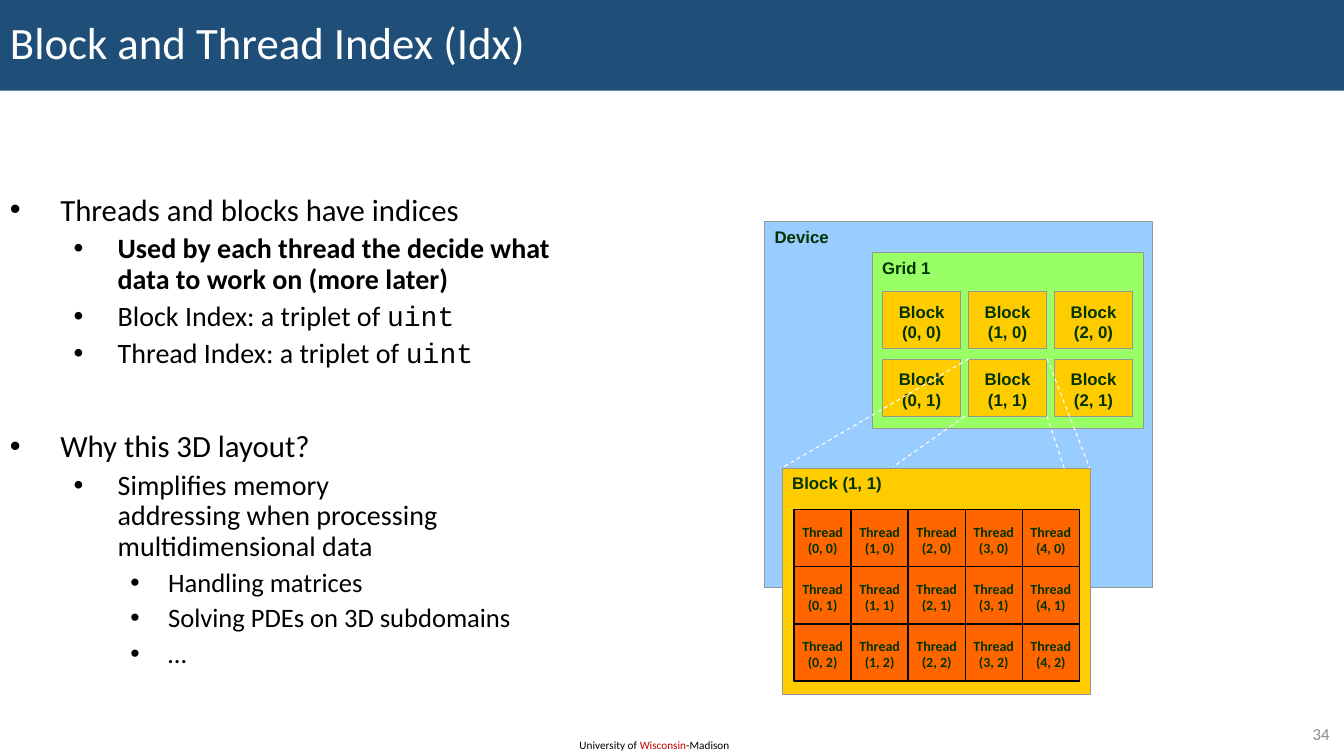
from itertools import product

from lxml.etree import SubElement
from pptx import Presentation
from pptx.dml.color import RGBColor
from pptx.enum.dml import MSO_LINE
from pptx.enum.shapes import MSO_CONNECTOR, MSO_SHAPE
from pptx.enum.text import MSO_ANCHOR as Anchor, PP_ALIGN as Align
from pptx.oxml.ns import qn
from pptx.util import Pt

INSETS = (7.2, 3.6, 7.2, 3.6)
NAVY, GRAY, GREEN_TEXT = "1F4E79", "969696", "003300"


def color(value):
    return RGBColor.from_string(value)


def write(paragraph, text, font="Calibri", size=12, ink="000000", bold=False):
    """Append text as formatted runs, turning newlines into line breaks."""
    for index, line in enumerate(text.split("\n")):
        if index:
            paragraph.add_line_break()
        run = paragraph.add_run()
        run.text = line
        run.font.name, run.font.size, run.font.bold = font, Pt(size), bold
        run.font.color.rgb = color(ink)


class SlideBuilder:
    line_width = 0.75

    def __init__(self, slide):
        self.slide = slide

    def frame(self, shape, insets=INSETS, anchor=Anchor.TOP, wrap=True):
        frame = shape.text_frame
        frame.word_wrap, frame.vertical_anchor = wrap, anchor
        frame.margin_left, frame.margin_top, frame.margin_right, frame.margin_bottom = map(Pt, insets)
        return frame

    def fill_frame(self, frame, paragraphs, align=Align.LEFT, spacing=None, **style):
        for index, text in enumerate(paragraphs):
            paragraph = frame.add_paragraph() if index else frame.paragraphs[0]
            paragraph.alignment = align
            paragraph.line_spacing = spacing
            write(paragraph, text, **style)

    def box(self, bounds, fill, paragraphs=(), outline=GRAY, width=line_width,
            insets=INSETS, anchor=Anchor.TOP, align=Align.LEFT, **style):
        shape = self.slide.shapes.add_shape(MSO_SHAPE.RECTANGLE, *map(Pt, bounds))
        shape.shadow.inherit = False
        shape.fill.solid()
        shape.fill.fore_color.rgb = color(fill)
        if outline:
            shape.line.color.rgb = color(outline)
            shape.line.width = Pt(width)
        else:
            shape.line.fill.background()
        self.fill_frame(self.frame(shape, insets, anchor), paragraphs, align, **style)

    def text(self, bounds, paragraphs=(), insets=INSETS, anchor=Anchor.TOP,
             wrap=True, align=Align.LEFT, **style):
        shape = self.slide.shapes.add_textbox(*map(Pt, bounds))
        frame = self.frame(shape, insets, anchor, wrap)
        self.fill_frame(frame, paragraphs, align, **style)
        return frame

    def line(self, start, end, ink="000000", width=1, dashed=False):
        connector = self.slide.shapes.add_connector(
            MSO_CONNECTOR.STRAIGHT, *map(Pt, start + end))
        connector.line.color.rgb = color(ink)
        connector.line.width = Pt(width)
        if dashed:
            connector.line.dash_style = MSO_LINE.DASH
        SubElement(connector._element.spPr, qn("a:effectLst"))

    def bullets(self, bounds, items):
        """Add a bulleted list of (level, space before, text runs) items."""
        indents = [(36, -36), (77, -31.5), (113, -27)]
        sizes = [22, 20, 19]
        frame = self.text(bounds)
        for index, (level, space, runs) in enumerate(items):
            paragraph = frame.add_paragraph() if index else frame.paragraphs[0]
            paragraph.level = level
            paragraph.line_spacing = 0.9
            paragraph.space_before = Pt(space)
            properties = paragraph._p.get_or_add_pPr()
            left, hanging = indents[level]
            properties.set("marL", str(Pt(left)))
            properties.set("indent", str(Pt(hanging)))
            SubElement(properties, qn("a:buFont"), typeface="Arial")
            SubElement(properties, qn("a:buChar"), char="•")
            for text, style in runs:
                write(paragraph, text, size=sizes[level], **style)


def add_device(builder):
    label = dict(font="Arial", size=12, ink=GREEN_TEXT, bold=True)
    builder.box((546.2, 158.4, 277.2, 261.4), "99CCFF", ["Device"], **label)
    builder.box((623, 180.7, 194, 125.3), "99FF66", ["Grid 1"], **label)
    for row, column in product(range(2), range(3)):
        builder.box((630.6 + 61.4 * column, 208.2 + 48.3 * row, 55.5, 41), "FFCC00",
                    ["Block", f"({column}, {row})"], insets=(0, 7.2, 0, 0),
                    align=Align.CENTER, **label)
    builder.box((558.8, 334.4, 220.5, 161.7), "FFCC00", ["Block (1, 1)"], **label)


def add_threads(builder):
    left, top, cell, columns, rows = 567.2, 364.1, 40.75, 5, 3
    right, bottom = left + columns * cell, top + rows * cell
    builder.box((left, top, right - left, bottom - top), "FF6600", outline="000000", width=1)
    for row in range(1, rows):
        builder.line((left, top + row * cell), (right, top + row * cell))
    for column in range(1, columns):
        builder.line((left + column * cell, top), (left + column * cell, bottom))
    for row, column in product(range(rows), range(columns)):
        builder.text((left + column * cell, top + 9.5 + row * cell, cell, 24.5),
                     ["Thread", f"({column}, {row})"], insets=(0, 0, 0, 0),
                     align=Align.CENTER, size=10, ink=GREEN_TEXT, bold=True)


def add_zoom_lines(builder):
    for start, end in [((692, 256.3), (558.7, 334.1)), ((748, 256.3), (778.3, 334.1)),
                       ((689, 297.4), (638, 333.4)), ((748, 297.4), (760.3, 334.8))]:
        builder.line(start, end, ink="FFFFFF", width=0.75, dashed=True)


def main():
    presentation = Presentation()
    presentation.slide_width, presentation.slide_height = Pt(960), Pt(540)
    builder = SlideBuilder(presentation.slides.add_slide(presentation.slide_layouts[6]))

    footer = builder.text((406.8, 523.8, 123.8, 17), wrap=False).paragraphs[0]
    for text, ink in [("University of ", "000000"), ("Wisconsin", "C00000"), ("-Madison", "000000")]:
        write(footer, text, size=8, ink=ink)
    builder.box((0, 0, 960, 64.8), NAVY, ["Block and Thread Index (Idx)"], outline=None,
                anchor=Anchor.MIDDLE, spacing=0.9, size=32, ink="FFFFFF")
    builder.text((902.2, 513.4, 54.7, 20.9), ["34"], anchor=Anchor.MIDDLE,
                 align=Align.RIGHT, size=12, ink="8C8C8C")

    code = ("uint", {"font": "Courier New"})
    builder.bullets((0, 135.4, 414, 362.9), [
        (0, 0, [("Threads and blocks have indices", {})]),
        (1, 5, [("Used by each thread the decide what data to work on (more later)", {"bold": True})]),
        (1, 5, [("Block Index: a triplet of ", {}), code]),
        (1, 5, [("Thread Index: a triplet of ", {}), code]),
        (0, 44, [("Why this 3D layout?", {})]),
        (1, 5, [("Simplifies memory\naddressing when processing\nmultidimensional data", {})]),
        (2, 5, [("Handling matrices", {})]),
        (2, 5, [("Solving PDEs on 3D subdomains", {})]),
        (2, 5, [("…", {})]),
    ])
    add_device(builder)
    add_threads(builder)
    add_zoom_lines(builder)
    presentation.save("out.pptx")


if __name__ == "__main__":
    main()
